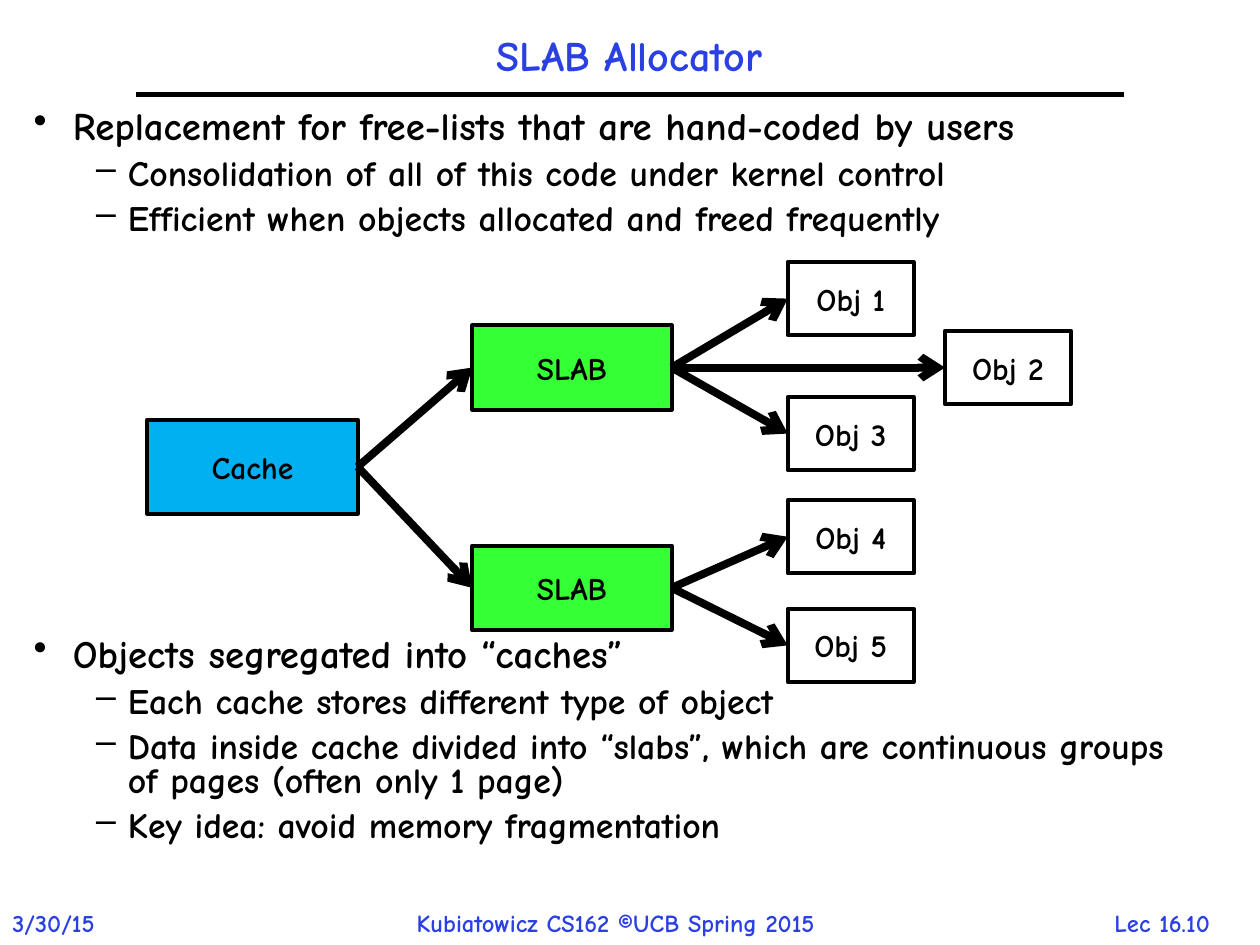
from pptx import Presentation
from pptx.dml.color import RGBColor
from pptx.enum.shapes import MSO_CONNECTOR, MSO_SHAPE
from pptx.enum.text import MSO_ANCHOR, PP_ALIGN
from pptx.oxml.ns import qn
from pptx.util import Cm, Pt
from lxml import etree

RECT = MSO_SHAPE.RECTANGLE
STRAIGHT = MSO_CONNECTOR.STRAIGHT
LEFT, CENTER = PP_ALIGN.LEFT, PP_ALIGN.CENTER
MIDDLE = MSO_ANCHOR.MIDDLE
BLACK, BLUE, CYAN, GREEN, WHITE = "000000", "2A40E2", "00B0F0", "35FF35", "FFFFFF"
RIGHT_SIDE, LEFT_SIDE = 3, 1


def rgb(value):
    return RGBColor.from_string(value)


def write(p, text, size, color, **para):
    for name, value in para.items():
        setattr(p, name, value)
    r = p.add_run()
    r.text = text
    for name, value in {"name": "Comic Neue", "size": Pt(size), "bold": True}.items():
        setattr(r.font, name, value)
    r.font.color.rgb = rgb(color)


prs = Presentation()
prs.slide_width, prs.slide_height = Cm(25.4), Cm(19.05)
s = prs.slides.add_slide(prs.slide_layouts[5])

# Title
title = s.shapes.title
title.left, title.top, title.width, title.height = Cm(2.74), Cm(0.43), Cm(19.89), Cm(1.47)
title.text_frame.vertical_anchor = MIDDLE
write(title.text_frame.paragraphs[0], "SLAB Allocator", 24, BLUE,
      alignment=CENTER, line_spacing=0.9)

# Footer
for text, left, width, align in [
    ("3/30/15", 0, 2.54, LEFT),
    ("Kubiatowicz CS162 ©UCB Spring 2015", 8.15, 9.83, LEFT),
    ("Lec 16.10", 21.74, 3.38, CENTER),
]:
    tf = s.shapes.add_textbox(Cm(left), Cm(18.19), Cm(width), Cm(0.86)).text_frame
    tf.word_wrap = False
    write(tf.paragraphs[0], text, 14, BLUE, alignment=align)

# Bullets: level, text, space before in points (the wide one clears the diagram)
bullets = [
    (0, "Replacement for free-lists that are hand-coded by users", 6.7),
    (1, "Consolidation of all of this code under kernel control", 6.1),
    (1, "Efficient when objects allocated and freed frequently", 6.1),
    (0, "Objects segregated into “caches”", 229),
    (1, "Each cache stores different type of object", 6.1),
    (1, "Data inside cache divided into “slabs”, which are continuous groups "
        "of pages (often only 1 page)", 6.1),
    (1, "Key idea: avoid memory fragmentation", 6.1),
]
level_styles = [("•", 22.2, 0.79, -0.79), ("–", 20.4, 1.9, -0.64)]
tf = s.shapes.add_textbox(Cm(0.43), Cm(2.11), Cm(23.7), Cm(16.94)).text_frame
tf.word_wrap = True
for i, (level, text, before) in enumerate(bullets):
    mark, size, margin, indent = level_styles[level]
    p = tf.add_paragraph() if i else tf.paragraphs[0]
    write(p, text, size, BLACK, level=level, line_spacing=0.8, space_before=Pt(before))
    pPr = p._p.get_or_add_pPr()
    pPr.set("marL", str(Cm(margin)))
    pPr.set("indent", str(Cm(indent)))
    etree.SubElement(pPr, qn("a:buChar")).set("char", mark)

# Diagram boxes: key, label, fill, left, top, width, height
obj_x, obj_size = 15.88, (2.54, 1.48)
slab_x, slab_size = 9.52, (4.02, 1.7)
boxes = {}
for key, label, fill, left, top, (width, height) in [
    ("cache", "Cache", CYAN, 2.97, 8.46, (4.24, 1.9)),
    ("slab 1", "SLAB", GREEN, slab_x, 6.56, slab_size),
    ("slab 2", "SLAB", GREEN, slab_x, 11, slab_size),
    ("obj 1", "Obj 1", WHITE, obj_x, 5.28, obj_size),
    ("obj 2", "Obj 2", WHITE, 19.05, 6.67, obj_size),
    ("obj 3", "Obj 3", WHITE, obj_x, 8, obj_size),
    ("obj 4", "Obj 4", WHITE, obj_x, 10.08, obj_size),
    ("obj 5", "Obj 5", WHITE, obj_x, 12.27, obj_size),
]:
    sp = s.shapes.add_shape(RECT, Cm(left), Cm(top), Cm(width), Cm(height))
    sp.shadow.inherit = False
    sp.fill.solid()
    sp.fill.fore_color.rgb = rgb(fill)
    sp.line.color.rgb = rgb(BLACK)
    sp.line.width = Pt(2.25)
    sp.text_frame.vertical_anchor = MIDDLE
    write(sp.text_frame.paragraphs[0], label, 18, BLACK, alignment=CENTER)
    boxes[key] = sp

# Title rule and arrows from each box to its children
rule = s.shapes.add_connector(STRAIGHT, Cm(2.74), Cm(1.9), Cm(22.66), Cm(1.9))
lines = [(rule, 3)]
for parent, children in {
    "cache": ["slab 1", "slab 2"],
    "slab 1": ["obj 1", "obj 2", "obj 3"],
    "slab 2": ["obj 4", "obj 5"],
}.items():
    for child in children:
        arrow = s.shapes.add_connector(STRAIGHT, 0, 0, 0, 0)
        arrow.begin_connect(boxes[parent], RIGHT_SIDE)
        arrow.end_connect(boxes[child], LEFT_SIDE)
        lines.append((arrow, 4.5))

for line, width in lines:
    line.line.color.rgb = rgb(BLACK)
    line.line.width = Pt(width)
    if line is not rule:
        etree.SubElement(line.line._get_or_add_ln(), qn("a:tailEnd")).set("type", "arrow")
    etree.SubElement(line._element.spPr, qn("a:effectLst"))

prs.save("out.pptx")
